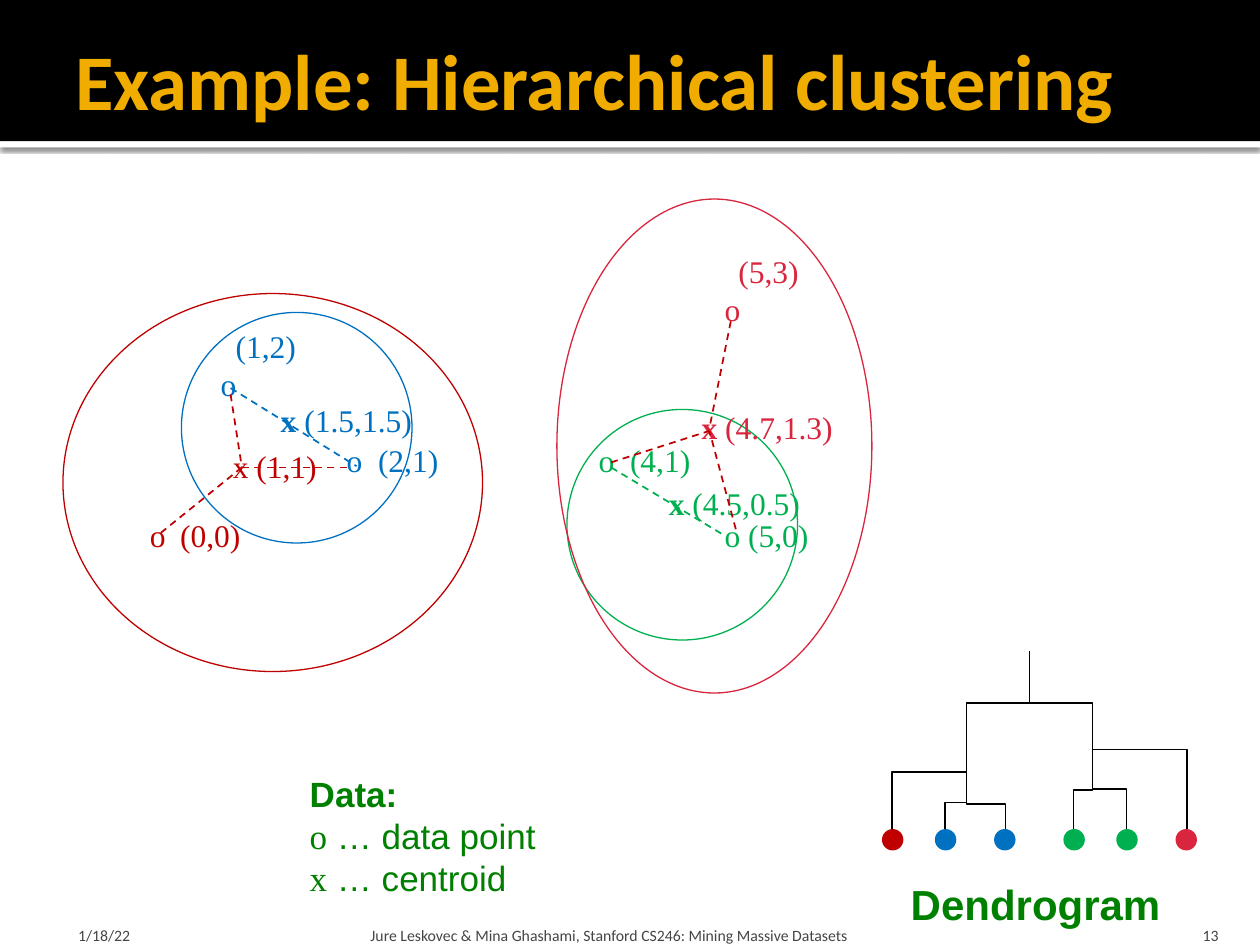
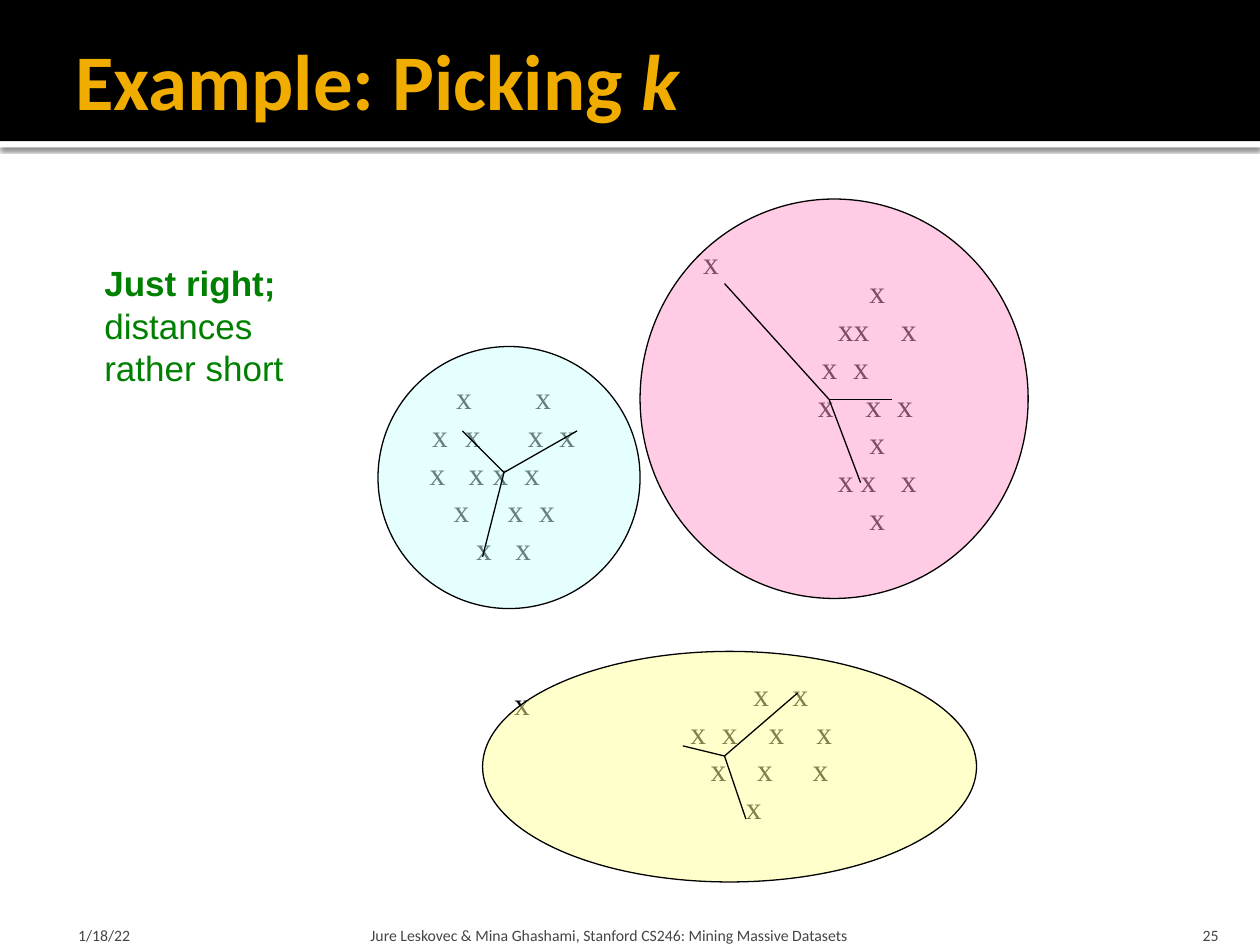
import pptx
import pptx.dml.color
import pptx.enum.dml
import pptx.enum.shapes
import pptx.enum.text
import pptx.oxml
import pptx.oxml.ns
import pptx.util
from lxml import etree

Inches = pptx.util.Inches
Pt = pptx.util.Pt
qn = pptx.oxml.ns.qn
SHAPE = pptx.enum.shapes.MSO_SHAPE
CONNECTOR = pptx.enum.shapes.MSO_CONNECTOR
ANCHOR = pptx.enum.text.MSO_ANCHOR
ALIGN = pptx.enum.text.PP_ALIGN

COLORS = {
    "black": "000000", "white": "FFFFFF", "title": "F0AD00", "footer": "454545",
    "blue": "0070C0", "green": "00B050", "red": "C00000", "rose": "D9253E",
    "note": "008000", "yellow": "FFFF99", "cyan": "CCFFFF", "pink": "FF99CC",
}
TITLE = {"name": "Calibri", "size": 45, "bold": True, "color": "title"}
FOOTER = {"name": "Calibri", "size": 9, "color": "footer"}
POINT = {"name": "Times New Roman", "size": 18, "color": "black"}
NOTE = {"name": "Arial", "size": 20, "color": "note"}
BOLD = {"bold": True}
SERIF = {"name": "Times New Roman"}
INSETS = (0.1, 0.05, 0.1, 0.05)
LEADING = 1.2   # line height relative to the font size
FOOTER_TEXT = "Jure Leskovec & Mina Ghashami, Stanford CS246: Mining Massive Datasets"


def rgb(name):
    return pptx.dml.color.RGBColor.from_string(COLORS[name])


# Text
def add_text(s, box, paragraphs, fmt, insets=INSETS, anchor=ANCHOR.TOP,
             align=ALIGN.LEFT, leading=None):
    """Each paragraph is a list of (text, changes to fmt) runs."""
    tf = s.shapes.add_textbox(*map(Inches, box)).text_frame
    tf.word_wrap, tf.vertical_anchor = True, anchor
    for side, inset in zip(("left", "top", "right", "bottom"), insets):
        setattr(tf, f"margin_{side}", Inches(inset))
    for i, runs in enumerate(paragraphs):
        p = tf.add_paragraph() if i else tf.paragraphs[0]
        p.alignment = align
        if leading:
            p.line_spacing = Pt(fmt["size"] * leading)
        for text, changes in runs:
            r = p.add_run()
            r.text = text
            for key, value in {**fmt, **changes}.items():
                if key == "color":
                    r.font.color.rgb = rgb(value)
                else:
                    setattr(r.font, key, Pt(value) if key == "size" else value)
    return tf


def add_rows(s, box, rows, anchor=ANCHOR.MIDDLE):
    """Rows of (x, text, colour) items, each item set at its own tab stop."""
    paragraphs = [[("\t" + text, {"color": color}) for _, text, color in row] for row in rows]
    tf = add_text(s, box, paragraphs, POINT, (0, 0.05, 0, 0.05), anchor, leading=LEADING)
    for p, row in zip(tf.paragraphs, rows):
        tabs = etree.SubElement(p._p.get_or_add_pPr(), qn("a:tabLst"))
        for x, _, _ in row:
            etree.SubElement(tabs, qn("a:tab"), pos=str(Inches(x - box[0])), algn="l")
    return tf


def add_centroid(s, x, y, label, color, marker_fmt):
    add_text(s, (x, y, 1.4, 0.4), [[("x", marker_fmt), (label, {})]],
             {**POINT, "color": color}, leading=LEADING)


# Shapes and lines
def add_shape(s, kind, box, fill=None, line=None, alpha=None):
    sp = s.shapes.add_shape(kind, *map(Inches, box))
    sp.shadow.inherit = False
    if fill:
        sp.fill.solid()
        sp.fill.fore_color.rgb = rgb(fill)
    else:
        sp.fill.background()
    if alpha:
        clr = sp._element.spPr.find(qn("a:solidFill"))[0]
        etree.SubElement(clr, qn("a:alpha"), val=str(alpha * 1000))
    if line:
        sp.line.color.rgb = rgb(line)
        sp.line.width = Pt(0.75)
    else:
        sp.line.fill.background()
    return sp


def add_line(s, start, end, color="black", width=1, dashed=False, kind=CONNECTOR.STRAIGHT):
    c = s.shapes.add_connector(kind, *map(Inches, (*start, *end)))
    c.line.color.rgb = rgb(color)
    c.line.width = Pt(width)
    if dashed:
        c.line.dash_style = pptx.enum.dml.MSO_LINE.DASH
    etree.SubElement(c._element.spPr, qn("a:effectLst"))
    return c


def add_branch(s, start, end, bend):
    """An elbow that rises from start, crosses at height bend, and rises to end."""
    (x1, y1), (x2, y2) = start, end
    mx, my = (x1 + x2) / 2, (y1 + y2) / 2
    half_w, half_h = (y1 - y2) / 2, abs(x2 - x1) / 2
    rightward = x2 > x1
    dx = half_w if rightward else -half_w
    c = add_line(s, (mx + dx, my + half_h), (mx - dx, my - half_h), kind=CONNECTOR.ELBOW)
    spPr = c._element.spPr
    spPr.find(qn("a:xfrm")).set("rot", str((90 if rightward else 270) * 60000))
    geom = spPr.find(qn("a:prstGeom"))
    av = geom.find(qn("a:avLst"))
    if av is None:
        av = etree.SubElement(geom, qn("a:avLst"))
    adj = round((y1 - bend) / (y1 - y2) * 100000)
    etree.SubElement(av, qn("a:gd"), name="adj1", fmla=f"val {adj}")


# Shared frame: title band, title, footers
def add_frame(prs, title, number):
    s = prs.slides.add_slide(prs.slide_layouts[6])
    strip = add_shape(s, SHAPE.RECTANGLE, (0, 1.12, 10, 0.05), "white")
    effects = strip._element.spPr.find(qn("a:effectLst"))
    shadow = etree.SubElement(effects, qn("a:outerShdw"), blurRad=str(Pt(2.5)),
                              dist=str(Pt(0.8)), dir="5400000", algn="tl", rotWithShape="0")
    clr = etree.SubElement(shadow, qn("a:srgbClr"), val=COLORS["black"])
    etree.SubElement(clr, qn("a:alpha"), val="60000")
    add_shape(s, SHAPE.RECTANGLE, (0, 0, 10, 1.12), "black")
    add_text(s, (0.5, 0.17, 9, 0.92), [title], TITLE, (0.1, 0.05, 0.05, 0.05), ANCHOR.MIDDLE)
    for x, width, left, right, text, align in (
            (0.5, 2.33, 0.12, 0.05, "1/18/22", ALIGN.LEFT),
            (2.89, 6.02, 0.05, 0.05, FOOTER_TEXT, ALIGN.LEFT),
            (8.97, 0.8, 0.1, 0.1, number, ALIGN.RIGHT)):
        add_text(s, (x, 7.2, width, 0.3), [[(text, {})]], FOOTER,
                 (left, 0.05, right, 0), ANCHOR.BOTTOM, align)
    return s


def hierarchical_slide(prs):
    s = add_frame(prs, [("Example: Hierarchical clustering", {})], "13")

    # Data points; the last two rows stand one line further down
    tf = add_rows(s, (0.65, 1.95, 5.92, 2.83), (
        [(5.86, "(5,3)", "rose")],
        [(5.75, "o", "rose")],
        [(1.87, "(1,2)", "blue")],
        [(1.75, "o", "blue")],
        [(2.75, "o", "blue"), (3, "(2,1)", "blue"), (4.75, "o", "green"), (5, "(4,1)", "green")],
        [(1.19, "o", "red"), (1.43, "(0,0)", "red"), (5.75, "o (5,0)", "green")],
    ), ANCHOR.TOP)
    for p in tf.paragraphs[-2:]:
        p.space_before = Pt(POINT["size"] * LEADING)

    # Clusters and their centroids
    for box, color in (((1.44, 2.48, 1.83, 1.83), "blue"), ((4.5, 3.25, 1.83, 1.83), "green"),
                       ((0.5, 2.33, 3.33, 3), "red"), ((4.42, 1.58, 2.5, 3.92), "rose")):
        add_shape(s, SHAPE.OVAL, box, line=color)
    for x, y, label, color, marker_fmt in (
            (2.13, 3.13, " (1.5,1.5)", "blue", BOLD), (5.21, 3.79, " (4.5,0.5)", "green", BOLD),
            (1.75, 3.5, " (1,1)", "red", {}), (5.47, 3.19, " (4.7,1.3)", "rose", BOLD)):
        add_centroid(s, x, y, label, color, marker_fmt)

    # Dendrogram
    for x, color in ((7, "red"), (7.42, "blue"), (7.89, "blue"),
                     (8.44, "green"), (8.86, "green"), (9.33, "rose")):
        add_shape(s, SHAPE.OVAL, (x, 6.58, 0.17, 0.17), color)
    for start, end, bend in (
            ((7.08, 6.58), (7.67, 5.67), 6.13), ((7.5, 6.58), (7.67, 6.08), 6.37),
            ((7.98, 6.58), (7.67, 6.17), 6.38), ((8.52, 6.58), (8.67, 6.17), 6.27),
            ((8.94, 6.58), (8.67, 5.92), 6.26), ((9.42, 6.58), (8.67, 5.58), 5.95),
            ((7.67, 6), (8.17, 5.17), 5.58), ((8.67, 5.83), (8.17, 5.17), 5.58)):
        add_branch(s, start, end, bend)
    add_text(s, (7.13, 6.92, 2.2, 0.5), [[("Dendrogram", BOLD)]],
             {**NOTE, "size": 24}, leading=LEADING)

    # Legend
    add_text(s, (2.36, 6.08, 2.01, 1.11),
             [[("Data:", BOLD)],
              [("o", SERIF), (" … data point", {})],
              [("x", SERIF), (" … centroid", {})]], NOTE, leading=LEADING)

    # Links from points to centroids
    left_centroid, right_centroid = (1.92, 3.71), (5.63, 3.42)
    for start, end, color in (
            ((1.83, 3.08), (2.83, 3.7), "blue"), ((4.85, 3.71), (5.75, 4.25), "green"),
            ((1.83, 3.13), left_centroid, "red"), ((2.75, 3.71), left_centroid, "red"),
            (left_centroid, (1.25, 4.25), "red"), ((5.8, 2.55), (5.63, 3.4), "red"),
            ((4.85, 3.67), right_centroid, "red"), ((5.84, 4.2), right_centroid, "red")):
        add_line(s, start, end, color, dashed=True)


def picking_k_slide(prs):
    s = add_frame(prs, [("Example: Picking ", {}), ("k", {"italic": True})], "25")

    # Points of each cluster: left edges by row; a pair stands where two points touch
    pair = (6.65, "xx", "black")
    for box, rows in (
            ((3, 2.5, 2, 2.5), ((3.62, 4.25), (3.43, 3.69, 4.19, 4.44), (3.41, 3.72, 3.91, 4.16),
                                (3.6, 4.03, 4.28), (3.78, 4.09))),
            ((6, 1.67, 1.92, 3.08), ((6.9,), (pair, 7.15), (6.52, 6.77), (6.49, 6.87, 7.12),
                                     (6.9,), (6.65, 6.83, 7.15), (6.9,))),
            ((5, 5.08, 2.08, 1.75), ((5.98, 6.29), (5.48, 5.73, 6.1, 6.48),
                                     (5.64, 6.01, 6.45), (5.92,))),
            ((5.48, 1.88, 0.37, 0.4), ((5.58,),)),
            ((3.98, 5.38, 0.37, 0.4), ((4.08,),))):
        add_rows(s, box, [[x if x is pair else (x, "x", "black") for x in row] for row in rows])

    # Translucent clusters over the points
    for box, color in (((3.83, 5.17, 3.92, 1.83), "yellow"), ((3, 2.75, 2.08, 2.08), "cyan"),
                       ((5.08, 1.58, 3.08, 3.17), "pink")):
        add_shape(s, SHAPE.OVAL, box, color, "black", alpha=50)

    # Distances from each centroid
    for centroid, ends in (((4, 3.75), ((3.67, 3.42), (4.58, 3.42), (3.83, 4.42))),
                           ((5.75, 6), ((5.42, 5.92), (6.33, 5.5), (5.92, 6.5))),
                           ((6.58, 3.17), ((5.75, 2.25), (7.08, 3.17), (6.83, 3.83)))):
        for end in ends:
            add_line(s, centroid, end, width=0.75)

    # Verdict
    add_text(s, (0.73, 2.03, 1.63, 1.11),
             [[("Just right;", BOLD)], [("distances", {})], [("rather short", {})]],
             NOTE, leading=LEADING)


def main():
    prs = pptx.Presentation()
    prs.slide_width, prs.slide_height = Inches(10), Inches(7.5)
    hierarchical_slide(prs)
    picking_k_slide(prs)
    prs.save("out.pptx")


if __name__ == "__main__":
    main()
